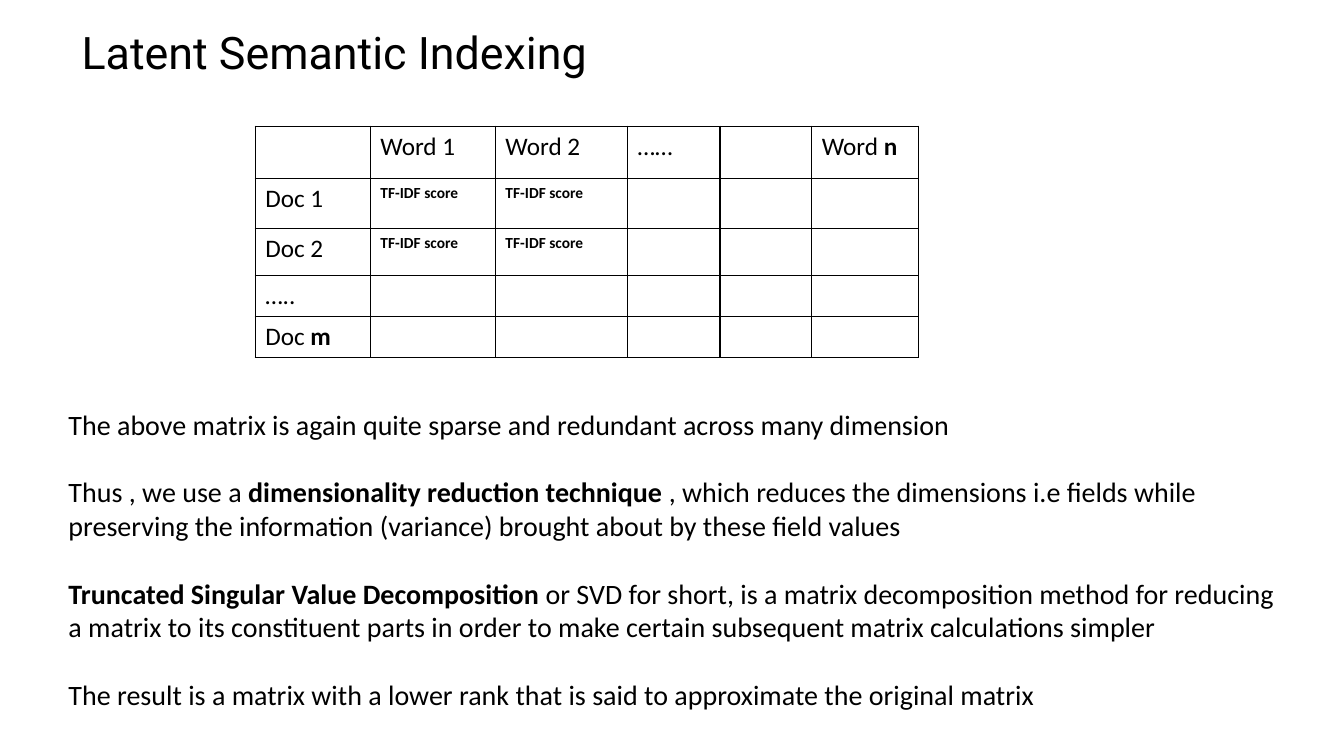
from pptx import Presentation
from pptx import util as u
from pptx.dml import color
from pptx.enum import text
from pptx.oxml import parse_xml
from pptx.oxml import ns

HUES = {"ink": "000000", "page": "FFFFFF"}
COLS = [2.9, 3.15, 3.33, 2.33, 2.31, 2.68]
ROWS = [1.32, 1.25, 1.2, 1.03, 1.03]
SCORE = "*TF-IDF score*"
CELLS = [
    ["", "Word 1", "Word 2", "……", "", "Word *n*"],
    ["Doc 1", SCORE, SCORE, "", "", ""],
    ["Doc 2", SCORE, SCORE, "", "", ""],
    ["…..", "", "", "", "", ""],
    ["Doc *m*", "", "", "", "", ""],
]
NOTES = [
    "The above matrix is again quite sparse and redundant across many dimension",
    "Thus , we use a *dimensionality reduction technique* , which reduces the "
    "dimensions i.e fields while preserving the information (variance) brought "
    "about by these field values",
    "*Truncated Singular Value Decomposition *or SVD for short, is a matrix "
    "decomposition method for reducing a matrix to its constituent parts in order "
    "to make certain subsequent matrix calculations simpler",
    "The result is a matrix with a lower rank that is said to approximate the "
    "original matrix",
]


def rgb(name):
    """Return the named colour."""
    return color.RGBColor.from_string(HUES[name])


def write(para, words, size=18, font="Calibri", hue="ink", after=0, lines=1.0):
    """Fill a paragraph, with words between asterisks in bold."""
    para.alignment = text.PP_ALIGN.LEFT
    para.space_before = u.Pt(0)
    para.space_after = u.Pt(after)
    para.line_spacing = lines
    for i, part in enumerate(words.split("*")):
        if part:
            run = para.add_run()
            run.text = part
            run.font.size = u.Pt(size)
            run.font.name = font
            run.font.bold = i % 2 == 1
            run.font.color.rgb = rgb(hue)


def place(shape, left, top, width, height, anchor):
    """Move a placeholder and return its text frame."""
    shape.left, shape.top = u.Cm(left), u.Cm(top)
    shape.width, shape.height = u.Cm(width), u.Cm(height)
    frame = shape.text_frame
    frame.word_wrap = True
    frame.auto_size = text.MSO_AUTO_SIZE.NONE
    frame.vertical_anchor = anchor
    return frame


def plain(para):
    """Take the bullet and indent off a paragraph."""
    props = para._p.get_or_add_pPr()
    props.set("marL", "0")
    props.set("indent", "0")
    props.append(parse_xml(f"<a:buNone {ns.nsdecls('a')}/>"))


def frame_cell(cell):
    """Draw thin borders on all sides of a cell and fill it."""
    props = cell._tc.get_or_add_tcPr()
    for side in ("lnL", "lnR", "lnT", "lnB"):
        props.append(parse_xml(
            f'<a:{side} {ns.nsdecls("a")} w="{u.Pt(1)}"><a:solidFill>'
            f'<a:srgbClr val="{HUES["ink"]}"/></a:solidFill></a:{side}>'))
    cell.fill.solid()
    cell.fill.fore_color.rgb = rgb("page")


def matrix(slide, left, top):
    """Add the table of documents against words."""
    grid = slide.shapes.add_table(
        len(ROWS), len(COLS), u.Cm(left), u.Cm(top),
        u.Cm(sum(COLS)), u.Cm(sum(ROWS))).table
    grid.first_row = grid.horz_banding = False
    for col, width in zip(grid.columns, COLS):
        col.width = u.Cm(width)
    for row, height, line in zip(grid.rows, ROWS, CELLS):
        row.height = u.Cm(height)
        for cell, words in zip(row.cells, line):
            frame_cell(cell)
            write(cell.text_frame.paragraphs[0], words,
                  size=11 if words == SCORE else 18)


def notes(shape):
    """Write the explanation under the table."""
    frame = place(shape, 1.47, 10.13, 30.91, 7.95, text.MSO_ANCHOR.TOP)
    for i, words in enumerate(NOTES):
        para = frame.add_paragraph() if i else frame.paragraphs[0]
        write(para, words, size=20, after=24.4)
        plain(para)


def main():
    """Build the slide and save it."""
    deck = Presentation()
    deck.slide_width, deck.slide_height = u.Inches(13.33), u.Inches(7.5)
    slide = deck.slides.add_slide(deck.slide_layouts[1])
    head, body = slide.placeholders
    frame = place(head, 1.8, 0.79, 29.87, 1.19, text.MSO_ANCHOR.MIDDLE)
    write(frame.paragraphs[0], "Latent Semantic Indexing",
          size=32, font="Roboto", lines=0.9)
    matrix(slide, 6.43, 3.18)
    notes(body)
    deck.save("out.pptx")


main()
